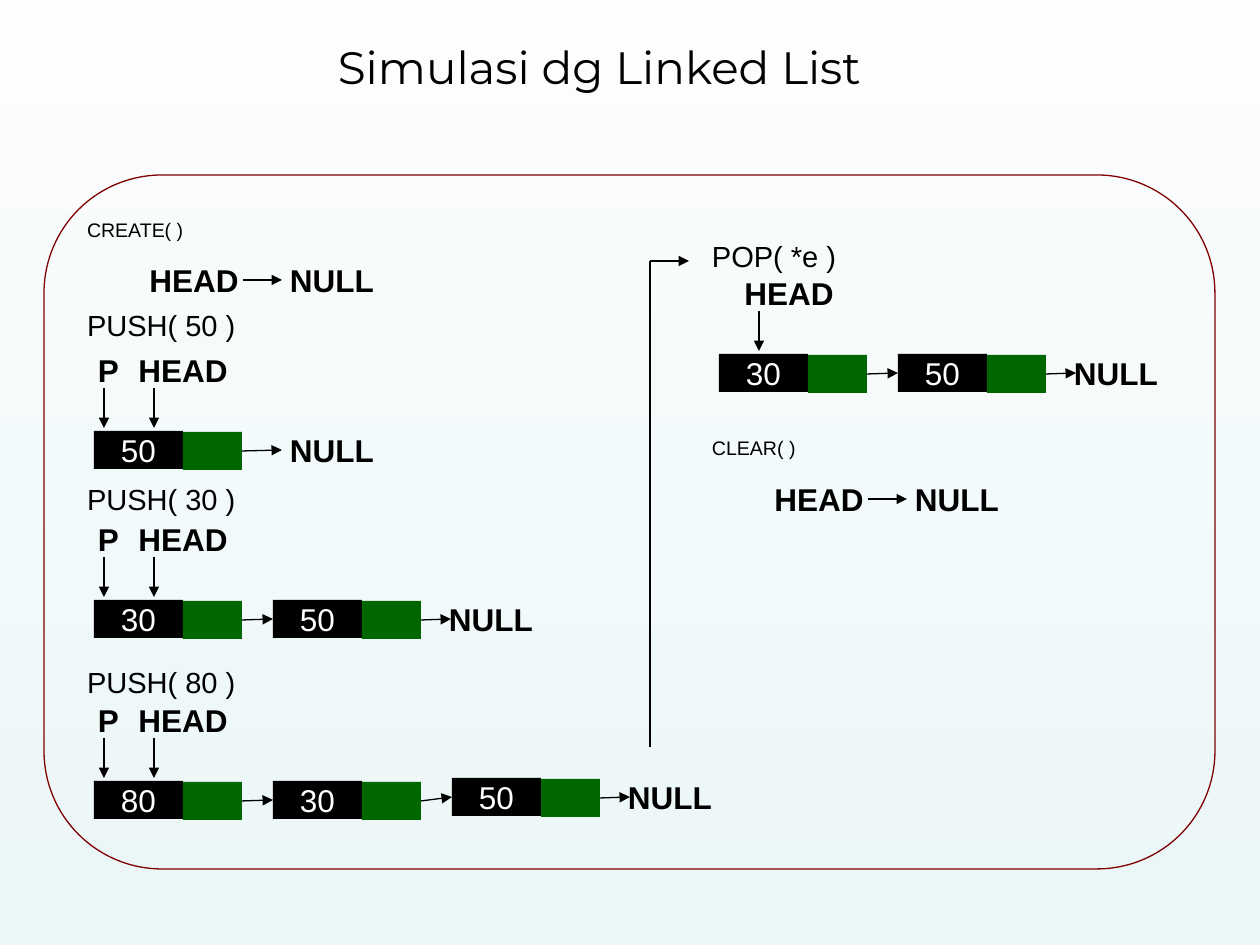
from lxml.etree import SubElement
from pptx import Presentation
from pptx.dml.color import RGBColor
from pptx.enum.shapes import MSO_CONNECTOR as LINE, MSO_SHAPE as SHAPE
from pptx.enum.text import MSO_ANCHOR as ANCHOR, PP_ALIGN as ALIGN
from pptx.oxml.ns import qn
from pptx.util import Emu, Pt

PX = 914400 // 126
BLACK = RGBColor(0x00, 0x00, 0x00)
WHITE = RGBColor(0xFF, 0xFF, 0xFF)
GREEN = RGBColor(0x00, 0x66, 0x00)
MAROON = RGBColor(0x80, 0x00, 0x00)
SKY_TOP = RGBColor(0xFC, 0xFD, 0xFE)
SKY_BOTTOM = RGBColor(0xEB, 0xF6, 0xF7)

DATA_W, NEXT_W, NODE_H, NODE_STEP = 89, 59, 38, 179
HEAD_W, NULL_W, P_W = 120, 100, 49

deck = Presentation()
deck.slide_width = Emu(1260 * PX)
deck.slide_height = Emu(945 * PX)
slide = deck.slides.add_slide(deck.slide_layouts[6])
shapes = slide.shapes

backdrop = slide.background.fill
backdrop.gradient()
backdrop.gradient_angle = 270
for stop, color in zip(backdrop.gradient_stops, (SKY_TOP, SKY_BOTTOM)):
    stop.color.rgb = color


def write(text, x, y, w, h, size=18, bold=False, color=BLACK, font="Arial",
          align=ALIGN.CENTER, anchor=ANCHOR.MIDDLE, inset=(0, 0), spacing=None, fill=None):
    area = [Emu(v * PX) for v in (x, y, w, h)]
    if fill is None:
        box = shapes.add_textbox(*area)
    else:
        box = shapes.add_shape(SHAPE.RECTANGLE, *area)
        box.shadow.inherit = False
        box.fill.solid()
        box.fill.fore_color.rgb = fill
        box.line.fill.background()
    frame = box.text_frame
    frame.word_wrap = True
    frame.vertical_anchor = anchor
    frame.margin_left = frame.margin_right = Emu(inset[0] * PX)
    frame.margin_top = frame.margin_bottom = Emu(inset[1] * PX)
    paragraph = frame.paragraphs[0]
    paragraph.alignment = align
    paragraph.line_spacing = spacing
    if text:
        run = paragraph.add_run()
        run.text = text
        run.font.size = Pt(size)
        run.font.bold = bold
        run.font.name = font
        run.font.color.rgb = color
    return box


def link(x1, y1, x2, y2, source=None, target=None, arrow=True):
    line = shapes.add_connector(LINE.STRAIGHT, *[Emu(v * PX) for v in (x1, y1, x2, y2)])
    line.line.color.rgb = BLACK
    line.line.width = Pt(0.75)
    if arrow:
        SubElement(line.line._get_or_add_ln(), qn("a:tailEnd"), type="triangle")
    SubElement(line._element.spPr, qn("a:effectLst"))
    if source is not None:
        line.begin_connect(source, 3)
    if target is not None:
        line.end_connect(target, 1)


write("Simulasi dg Linked List", 64, 35, 1071, 69, size=25.9, font="Montserrat",
      inset=(13, 6), spacing=0.9)

calls = [
    ("CREATE( )", 74, 212, 11.2), ("PUSH( 50 )", 74, 301, 16.6),
    ("PUSH( 30 )", 74, 476, 16.6), ("PUSH( 80 )", 74, 658, 16.6),
    ("POP( *e )", 699, 232, 16.6), ("CLEAR( )", 699, 430, 11.2),
]
for call, x, y, size in calls:
    write(call, x, y, 208, 49, size=size, align=ALIGN.LEFT, anchor=ANCHOR.TOP, inset=(13, 6))

for x, y in ((134, 261), (759, 480)):
    write("HEAD", x, y, HEAD_W, NODE_H, bold=True)
    null = write("NULL", x + 148, y, NULL_W, NODE_H, bold=True)
    link(x + 109, y + 19, x + 148, y + 19, target=null)

lists = [
    (94, 431, [("50", 0)], [("P", 84, P_W, 104), ("HEAD", 123, HEAD_W, 154)]),
    (94, 600, [("30", 0), ("50", 0)], [("P", 84, P_W, 104), ("HEAD", 123, HEAD_W, 154)]),
    (94, 781, [("80", 0), ("30", 0), ("50", -3)],
     [("P", 84, P_W, 104), ("HEAD", 123, HEAD_W, 154)]),
    (719, 354, [("30", 0), ("50", 0)], [("HEAD", 729, HEAD_W, 759)]),
]
for left, top, nodes, pointers in lists:
    for pointer, x, width, arrow_x in pointers:
        write(pointer, x, top - 80, width, NODE_H, bold=True)
        link(arrow_x, top - 43, arrow_x, top - 3)

    previous = None
    for i, (value, shift) in enumerate(nodes):
        x, y = left + i * NODE_STEP, top + shift
        data = write(value, x, y, DATA_W, NODE_H, color=WHITE, fill=BLACK)
        if previous is not None:
            link(x - 30, y + 19, x, y + 19, source=previous, target=data)
        previous = write("", x + DATA_W, y + 1, NEXT_W, NODE_H, fill=GREEN)

    end = x + DATA_W + NEXT_W
    if len(nodes) == 1:
        null = write("NULL", end + 40, y, NULL_W, NODE_H, bold=True)
        link(end, y + 20, end + 40, y + 19, source=previous, target=null)
    else:
        write("NULL", end + 20, y, NULL_W, NODE_H, bold=True)
        link(end, y + 20, end + 30, y + 19, source=previous)

link(650, 261, 650, 747, arrow=False)
link(650, 261, 689, 261)

border = shapes.add_shape(SHAPE.ROUNDED_RECTANGLE, *[Emu(v * PX) for v in (44, 175, 1171, 694)])
border.adjustments[0] = 0.17
border.shadow.inherit = False
border.fill.background()
border.line.color.rgb = MAROON
border.line.width = Pt(0.75)

deck.save("out.pptx")
